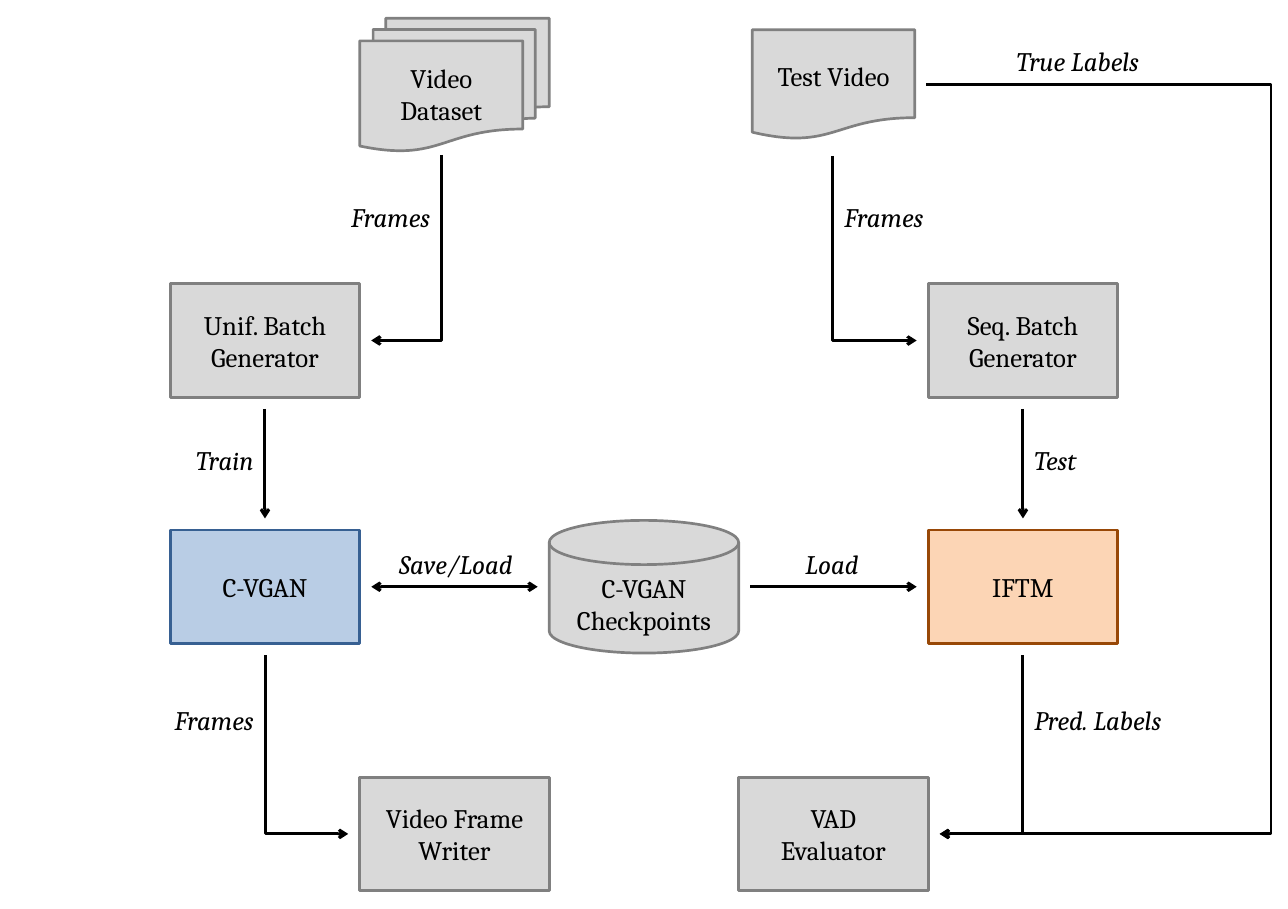
"""Build the flow diagram of C-VGAN training and IFTM testing."""
from lxml import etree
from pptx import Presentation
from pptx import util as u
from pptx.dml.color import RGBColor
from pptx.enum import shapes, text
from pptx.oxml.ns import qn

PX = 9144
BOX_W, BOX_H = 197, 118
GAP = 12
GEN_Y, MODEL_Y, OUT_Y = 295, 551, 808
GREY = ("D9D9D9", "808080")
BLUE = ("B9CDE5", "376092")
ORANGE = ("FCD5B5", "984807")
LEFT, CENTER, RIGHT = text.PP_ALIGN.LEFT, text.PP_ALIGN.CENTER, text.PP_ALIGN.RIGHT
KIND = shapes.MSO_SHAPE


def px(*lengths):
    """Turn px lengths into EMU."""
    return [u.Emu(round(n * PX)) for n in lengths]


def rgb(value):
    """Turn a hex string into a colour."""
    return RGBColor.from_string(value)


def write(tf, words, align, italic=False):
    """Write one formatted paragraph into a text frame."""
    tf.word_wrap = True
    tf.text = words
    p = tf.paragraphs[0]
    p.alignment = align
    p.font.name = "Cambria"
    p.font.size = u.Pt(20)
    p.font.italic = italic
    p.font.color.rgb = rgb("000000")


def node(s, words, x, y, w=BOX_W, h=BOX_H, kind=KIND.FLOWCHART_PROCESS, colors=GREY, drop=0):
    """Add a flowchart shape with its name, lowered by drop."""
    sp = s.shapes.add_shape(kind, *px(x, y, w, h))
    sp.shadow.inherit = False
    sp.fill.solid()
    sp.fill.fore_color.rgb = rgb(colors[0])
    sp.line.color.rgb = rgb(colors[1])
    sp.line.width = u.Pt(2)
    tf = sp.text_frame
    tf.vertical_anchor = text.MSO_ANCHOR.MIDDLE
    tf.margin_top, tf.margin_bottom = px(2 * drop, 0)
    write(tf, words, CENTER)


def label(s, words, x, y, w=200, align=CENTER):
    """Add the italic label of an arrow."""
    sp = s.shapes.add_textbox(*px(x, y, w, 44))
    write(sp.text_frame, words, align, italic=True)


def arrow(s, start, end, turn=None, both=False):
    """Add an arrow, bent at the x position turn if one is given."""
    types = shapes.MSO_CONNECTOR
    kind = types.STRAIGHT if turn is None else types.ELBOW
    c = s.shapes.add_connector(kind, *px(*start, *end))
    c.line.color.rgb = rgb("000000")
    c.line.width = u.Pt(2.25)
    ln = c.line._get_or_add_ln()
    for tag in ("a:headEnd", "a:tailEnd") if both else ("a:tailEnd",):
        etree.SubElement(ln, qn(tag), type="arrow")
    props = c._element.spPr
    etree.SubElement(props, qn("a:effectLst"))
    if turn is not None:
        ratio = round((turn - start[0]) / (end[0] - start[0]) * 100000)
        guides = props.find(qn("a:prstGeom")).get_or_add_avLst()
        etree.SubElement(guides, qn("a:gd"), name="adj1", fmla=f"val {ratio}")


def column(s, x, side, generator, model, colors, step, result):
    """Add a generator, its model and the arrows below them, labelled on one side."""
    mid = x + BOX_W / 2
    node(s, generator, x, GEN_Y)
    node(s, model, x, MODEL_Y, colors=colors)
    arrow(s, (mid, GEN_Y + BOX_H + GAP), (mid, MODEL_Y - GAP))
    label_x = mid - 202 if side == RIGHT else mid + 2
    label(s, step, label_x, 456, align=side)
    label(s, result, label_x, 727, align=side)


def training(s, x):
    """Add the training region with its left edge at x."""
    mid, out_x, source_mid = x + BOX_W / 2, x + BOX_W, x + 282
    column(s, x, RIGHT, "Unif. Batch Generator", "C-VGAN", BLUE, "Train", "Frames")
    node(s, "Video\vDataset", out_x, 19, h=138, kind=KIND.FLOWCHART_MULTIDOCUMENT)
    node(s, "Video Frame Writer", out_x, OUT_Y)
    arrow(s, (source_mid, 161), (out_x + GAP, GEN_Y + BOX_H / 2), source_mid)
    arrow(s, (mid, MODEL_Y + BOX_H + GAP), (out_x - GAP, OUT_Y + BOX_H / 2), mid)
    label(s, "Frames", source_mid - 202, 204, align=RIGHT)


def testing(s, x):
    """Add the testing region with its left edge at x."""
    test_x, source_mid = x + BOX_W, x + 98
    mid = test_x + BOX_W / 2
    target = (test_x + GAP, OUT_Y + BOX_H / 2)
    column(s, test_x, LEFT, "Seq. Batch Generator", "IFTM", ORANGE, "Test", "Pred. Labels")
    node(s, "Test Video", x + 14, 31, 169, 114, KIND.FLOWCHART_DOCUMENT, drop=2)
    node(s, "VAD\vEvaluator", x, OUT_Y)
    arrow(s, (source_mid, 162), (test_x - GAP, GEN_Y + BOX_H / 2), source_mid)
    arrow(s, (mid, MODEL_Y + BOX_H + GAP), target, mid)
    arrow(s, (x + 195, 88), target, x + 553)
    label(s, "Frames", source_mid + 2, 204, align=LEFT)
    label(s, "True Labels", test_x, 42, 311)


def checkpoints(s, x):
    """Add the checkpoint store at x and its arrows to both models."""
    y, right = MODEL_Y + BOX_H / 2, x + BOX_W
    node(s, "C-VGAN\vCheckpoints", x, 541, h=138, kind=KIND.FLOWCHART_MAGNETIC_DISK, drop=6)
    arrow(s, (x - BOX_W + GAP, y), (x - GAP, y), both=True)
    arrow(s, (right + GAP, y), (right + BOX_W - GAP, y))
    label(s, "Save/Load", x - 183, 565, 172)
    label(s, "Load", right + 11, 565, 172)


def main():
    """Build and save the slide."""
    prs = Presentation()
    prs.slide_width, prs.slide_height = px(1339, 945)
    s = prs.slides.add_slide(prs.slide_layouts[6])
    training(s, 177)
    testing(s, 768)
    checkpoints(s, 571)
    prs.save("out.pptx")


if __name__ == "__main__":
    main()
